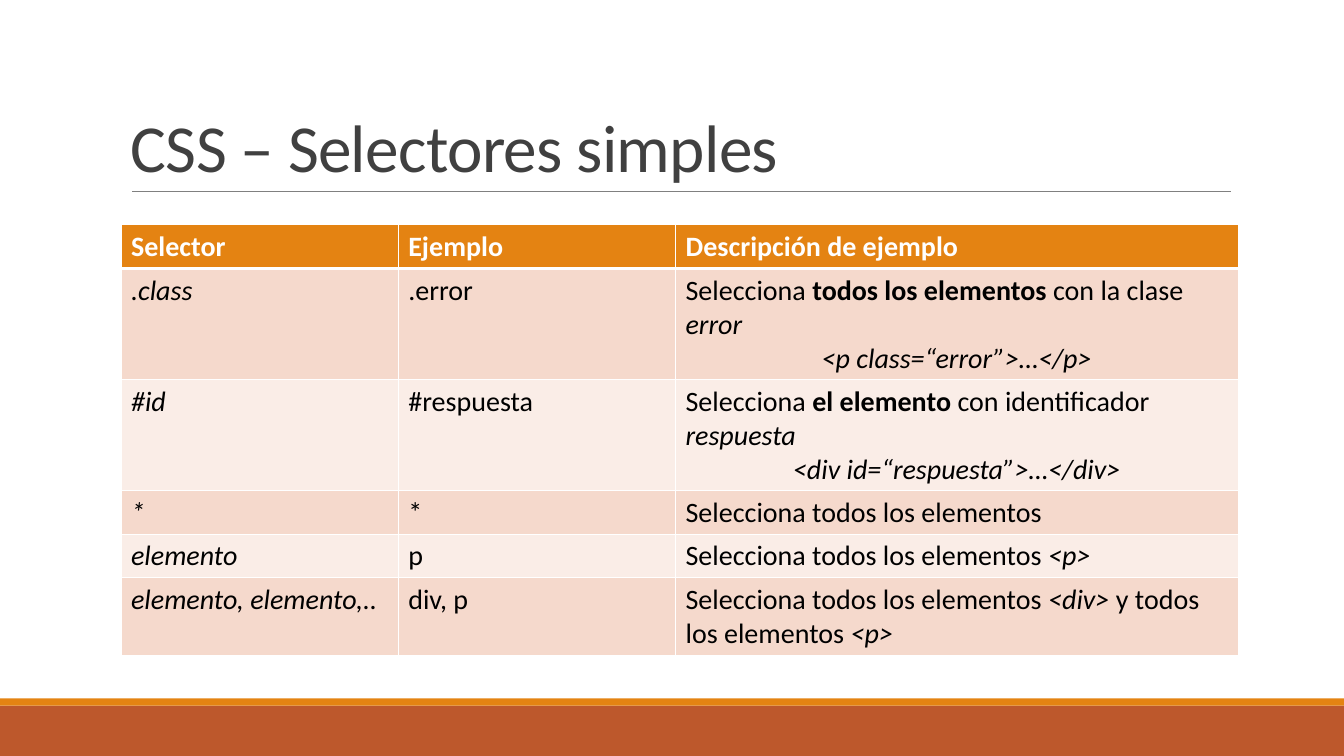
from lxml.etree import SubElement
from pptx import Presentation
from pptx.dml.color import RGBColor
from pptx.enum.shapes import MSO_CONNECTOR, MSO_SHAPE
from pptx.enum.text import MSO_ANCHOR, PP_ALIGN
from pptx.oxml import parse_xml
from pptx.oxml.ns import nsdecls, qn
from pptx.util import Inches, Pt

WHITE = RGBColor(0xFF, 0xFF, 0xFF)
BLACK = RGBColor(0x00, 0x00, 0x00)
TITLE_GRAY = RGBColor(0x40, 0x40, 0x40)
RULE_GRAY = RGBColor(0x80, 0x80, 0x80)
ORANGE = RGBColor(0xE4, 0x83, 0x12)
RUST = RGBColor(0xBD, 0x58, 0x2C)
ROW_FILLS = (RGBColor(0xF5, 0xD9, 0xCC), RGBColor(0xFA, 0xED, 0xE7))

PLAIN, BOLD, ITALIC = "plain", "bold", "italic"
HEADERS = ("Selector", "Ejemplo", "Descripción de ejemplo")
SELECTORS = (
    (".class", ".error", (
        (("Selecciona ", PLAIN), ("todos los elementos ", BOLD),
         ("con la clase ", PLAIN), ("error", ITALIC)),
        (("<p class=“error”>…</p>", ITALIC),))),
    ("#id", "#respuesta", (
        (("Selecciona ", PLAIN), ("el elemento ", BOLD),
         ("con identificador ", PLAIN), ("respuesta", ITALIC)),
        (("<div id=“respuesta”>…</div>", ITALIC),))),
    ("*", "*", ((("Selecciona todos los elementos", PLAIN),),)),
    ("elemento", "p", (
        (("Selecciona todos los elementos ", PLAIN), ("<p>", ITALIC)),)),
    ("elemento, elemento,..", "div, p", (
        (("Selecciona todos los elementos ", PLAIN), ("<div> ", ITALIC),
         ("y todos los elementos ", PLAIN), ("<p>", ITALIC)),)),
)
COLUMN_WIDTHS = (2.75, 2.75, 5.58)
ROW_HEIGHT = 0.41


class SlideBuilder:
    """Draws styled elements on one slide."""

    font_name = "Calibri"
    table_size = 20

    def __init__(self, slide):
        self.slide = slide

    def format_run(self, run, size, color, style=PLAIN):
        run.font.name = self.font_name
        run.font.size = Pt(size)
        run.font.color.rgb = color
        run.font.bold = style == BOLD
        run.font.italic = style == ITALIC

    def band(self, top, height, color):
        shape = self.slide.shapes.add_shape(
            MSO_SHAPE.RECTANGLE, 0, Inches(top), Inches(13.33), Inches(height))
        shape.shadow.inherit = False
        shape.fill.solid()
        shape.fill.fore_color.rgb = color
        shape.line.fill.background()

    def rule(self, left, right, top):
        connector = self.slide.shapes.add_connector(
            MSO_CONNECTOR.STRAIGHT, Inches(left), Inches(top), Inches(right), Inches(top))
        connector.line.color.rgb = RULE_GRAY
        connector.line.width = Pt(0.5)
        SubElement(connector._element.spPr, qn("a:effectLst"))

    def title(self, text, left, top, width, height):
        shape = self.slide.shapes.add_textbox(
            Inches(left), Inches(top), Inches(width), Inches(height))
        text_frame = shape.text_frame
        text_frame.word_wrap = True
        text_frame.vertical_anchor = MSO_ANCHOR.BOTTOM
        text_frame.text = text
        paragraph = text_frame.paragraphs[0]
        paragraph.line_spacing = 0.85
        run = paragraph.runs[0]
        self.format_run(run, 48, TITLE_GRAY)
        run._r.get_or_add_rPr().set("spc", "-50")

    def cell(self, cell, paragraphs, fill, color, bottom_width=1):
        cell.fill.solid()
        cell.fill.fore_color.rgb = fill
        properties = cell._tc.get_or_add_tcPr()
        widths = {"lnL": 1, "lnR": 1, "lnT": 1, "lnB": bottom_width}
        for position, (side, width) in enumerate(widths.items()):
            properties.insert(position, parse_xml(
                f'<a:{side} {nsdecls("a")} w="{Pt(width)}"><a:solidFill>'
                f'<a:srgbClr val="{WHITE}"/></a:solidFill></a:{side}>'))
        for index, pieces in enumerate(paragraphs):
            if index == 0:
                paragraph = cell.text_frame.paragraphs[0]
            else:
                paragraph = cell.text_frame.add_paragraph()
                paragraph.alignment = PP_ALIGN.CENTER
            for text, style in pieces:
                run = paragraph.add_run()
                run.text = text
                self.format_run(run, self.table_size, color, style)

    def selector_table(self, left, top, height):
        frame = self.slide.shapes.add_table(
            len(SELECTORS) + 1, len(HEADERS), Inches(left), Inches(top),
            Inches(sum(COLUMN_WIDTHS)), Inches(height))
        table = frame.table
        for column, width in zip(table.columns, COLUMN_WIDTHS):
            column.width = Inches(width)
        for row in table.rows:
            row.height = Inches(ROW_HEIGHT)
        frame.height = Inches(height)
        for column, header in enumerate(HEADERS):
            self.cell(table.cell(0, column), (((header, BOLD),),), ORANGE, WHITE, 3)
        for row, (selector, example, description) in enumerate(SELECTORS, 1):
            contents = (((selector, ITALIC),),), (((example, PLAIN),),), description
            fill = ROW_FILLS[(row - 1) % 2]
            for column, paragraphs in enumerate(contents):
                self.cell(table.cell(row, column), paragraphs, fill, BLACK)


def main():
    presentation = Presentation()
    presentation.slide_width = Inches(13.33)
    presentation.slide_height = Inches(7.5)
    slide = presentation.slides.add_slide(presentation.slide_layouts[6])
    builder = SlideBuilder(slide)
    builder.band(7, 0.5, RUST)
    builder.band(6.93, 0.07, ORANGE)
    builder.rule(1.31, 12.21, 1.9)
    builder.title("CSS – Selectores simples", 1.2, 0.31, 11, 1.59)
    builder.selector_table(1.2, 2.23, 4.27)
    presentation.save("out.pptx")


if __name__ == "__main__":
    main()
